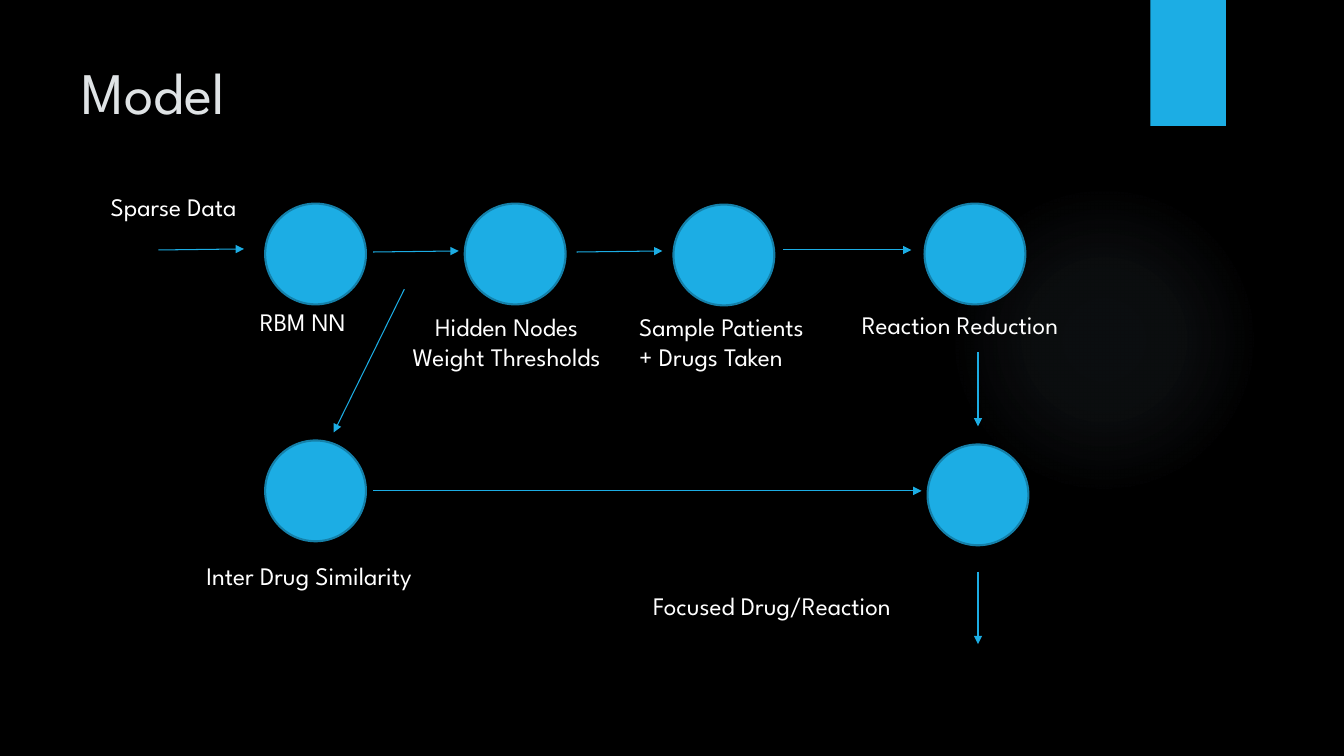
"""Build the Model slide: a flow diagram from sparse data to focused drug reactions."""
from dataclasses import dataclass

from lxml import etree
from pptx import Presentation
from pptx import util as u
from pptx.dml.color import RGBColor
from pptx.enum import shapes, text
from pptx.oxml import parse_xml
from pptx.oxml.ns import nsdecls, qn


@dataclass(frozen=True)
class Theme:
    background: str = "000000"
    accent: str = "1CADE4"
    outline: str = "1580A9"
    glow: str = "A0C1D5"
    title: str = "DFE3E5"
    label: str = "FFFFFF"
    font: str = "League Spartan"
    title_size: int = 42
    label_size: int = 18


theme = Theme()


def add_solid(kind, left, top, width, height):
    shape = slide.shapes.add_shape(
        kind, u.Inches(left), u.Inches(top), u.Inches(width), u.Inches(height))
    shape.shadow.inherit = False
    shape.fill.solid()
    shape.fill.fore_color.rgb = RGBColor.from_string(theme.accent)
    shape.line.fill.background()
    return shape


def write_text(shape, words, size, color, alignment):
    frame_format = {"word_wrap": True, "vertical_anchor": text.MSO_ANCHOR.TOP,
                    "auto_size": text.MSO_AUTO_SIZE.NONE}
    for name, value in frame_format.items():
        setattr(shape.text_frame, name, value)
    paragraph = shape.text_frame.paragraphs[0]
    paragraph.text = words
    paragraph.alignment = alignment
    for run in paragraph.runs:
        for name, value in {"name": theme.font, "size": u.Pt(size), "bold": False}.items():
            setattr(run.font, name, value)
        run.font.color.rgb = RGBColor.from_string(color)


presentation = Presentation()
presentation.slide_width = u.Inches(13.33)
presentation.slide_height = u.Inches(7.5)
slide = presentation.slides.add_slide(presentation.slide_layouts[5])
slide.background.fill.solid()
slide.background.fill.fore_color.rgb = RGBColor.from_string(theme.background)

glow = add_solid(shapes.MSO_SHAPE.OVAL, 9.41, 1.83, 3.08, 3.08)
stops = "".join(
    f'<a:gs pos="{position * 1000}"><a:srgbClr val="{theme.glow}">'
    f'<a:alpha val="{alpha * 1000}"/></a:srgbClr></a:gs>'
    for position, alpha in [(0, 7), (36, 6), (69, 0), (100, 0)])
gradient = parse_xml(
    f'<a:gradFill {nsdecls("a")}><a:gsLst>{stops}</a:gsLst><a:path path="circle">'
    '<a:fillToRect l="50000" t="50000" r="50000" b="50000"/></a:path></a:gradFill>')
properties = glow._element.spPr
properties.replace(properties.find(qn("a:solidFill")), gradient)

add_solid(shapes.MSO_SHAPE.RECTANGLE, 11.41, 0, 0.75, 1.25)

title = slide.shapes.title
title_place = {"left": 0.71, "top": 0.5, "width": 10.29, "height": 1.53}
for name, value in title_place.items():
    setattr(title, name, u.Inches(value))
write_text(title, "Model", theme.title_size, theme.title, text.PP_ALIGN.LEFT)

nodes = [(2.63, 2.02), (4.61, 2.02), (6.68, 2.03), (9.17, 2.02), (2.63, 4.37), (9.2, 4.41)]
for left, top in nodes:
    node = add_solid(shapes.MSO_SHAPE.OVAL, left, top, 1, 1)
    node.line.color.rgb = RGBColor.from_string(theme.outline)
    node.line.width = u.Pt(1.5)

arrows = [
    (1.57, 2.48, 2.42, 2.47),
    (3.7, 2.5, 4.55, 2.49),
    (5.72, 2.5, 6.57, 2.49),
    (7.77, 2.48, 9.04, 2.48),
    (4.01, 2.87, 3.31, 4.29),
    (3.7, 4.87, 9.14, 4.87),
    (9.7, 3.49, 9.7, 4.23),
    (9.7, 5.67, 9.7, 6.39),
]
for ends in arrows:
    arrow = slide.shapes.add_connector(
        shapes.MSO_CONNECTOR.STRAIGHT, *[u.Inches(value) for value in ends])
    arrow.line.color.rgb = RGBColor.from_string(theme.accent)
    arrow.line.width = u.Pt(0.75)
    etree.SubElement(arrow.line._get_or_add_ln(), qn("a:tailEnd"), type="triangle")
    etree.SubElement(arrow._element.spPr, qn("a:effectLst"))

left_aligned, centered = text.PP_ALIGN.LEFT, text.PP_ALIGN.CENTER
labels = [
    ("Sparse Data", 1, 1.85, 1.74, 0.4, left_aligned),
    ("RBM NN", 2.48, 2.99, 1.3, 0.4, left_aligned),
    ("Hidden Nodes\nWeight Thresholds", 3.59, 3.04, 2.87, 0.71, centered),
    ("Sample Patients\n+ Drugs Taken", 6.24, 3.04, 2.21, 1.01, left_aligned),
    ("Reaction Reduction", 8.45, 3.02, 2.73, 0.4, left_aligned),
    ("Inter Drug Similarity", 1.95, 5.51, 2.73, 0.4, left_aligned),
    ("Focused Drug/Reaction", 6.38, 5.81, 3.2, 0.4, left_aligned),
]
for words, left, top, width, height, alignment in labels:
    label = slide.shapes.add_textbox(
        u.Inches(left), u.Inches(top), u.Inches(width), u.Inches(height))
    write_text(label, words, theme.label_size, theme.label, alignment)

presentation.save("out.pptx")
